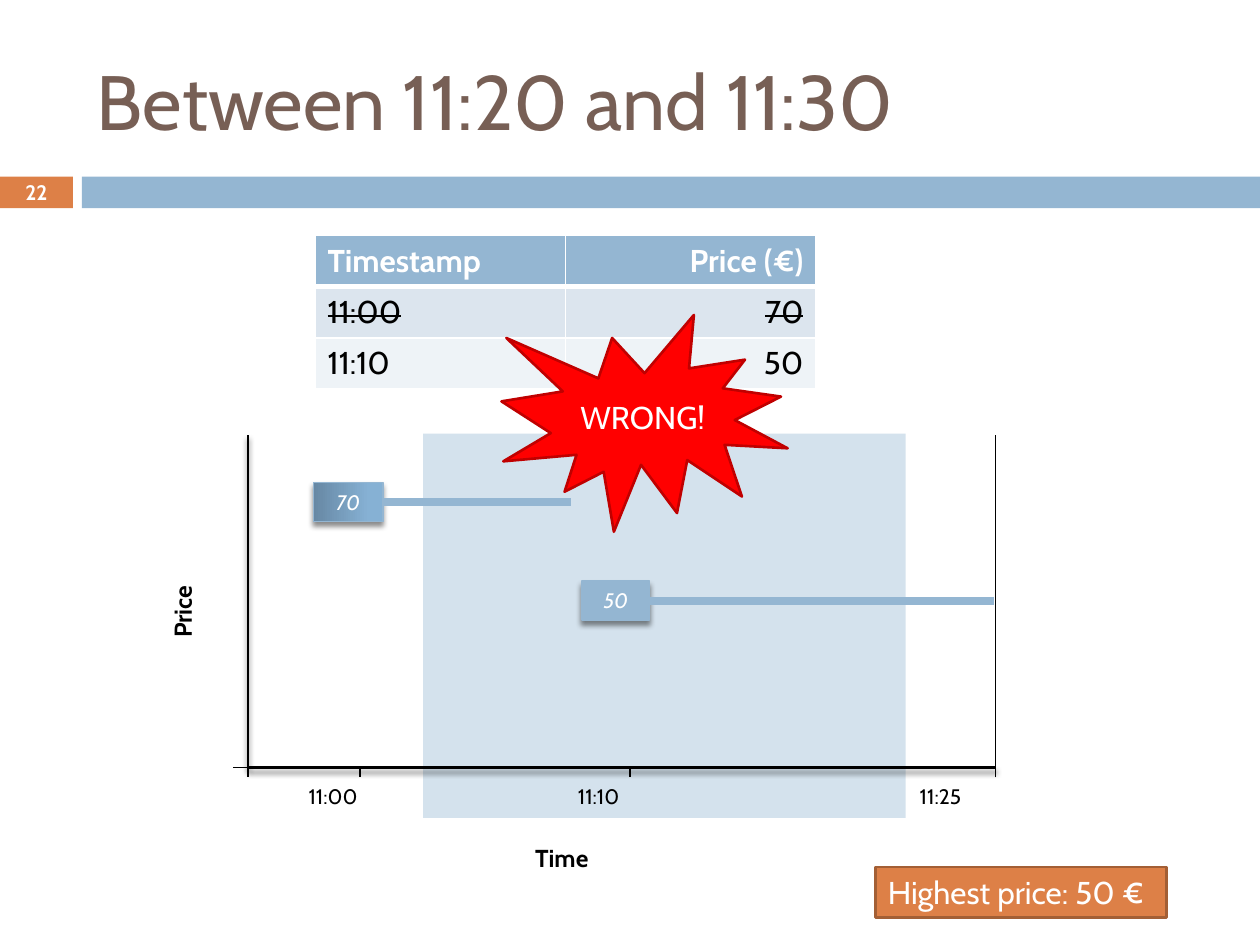
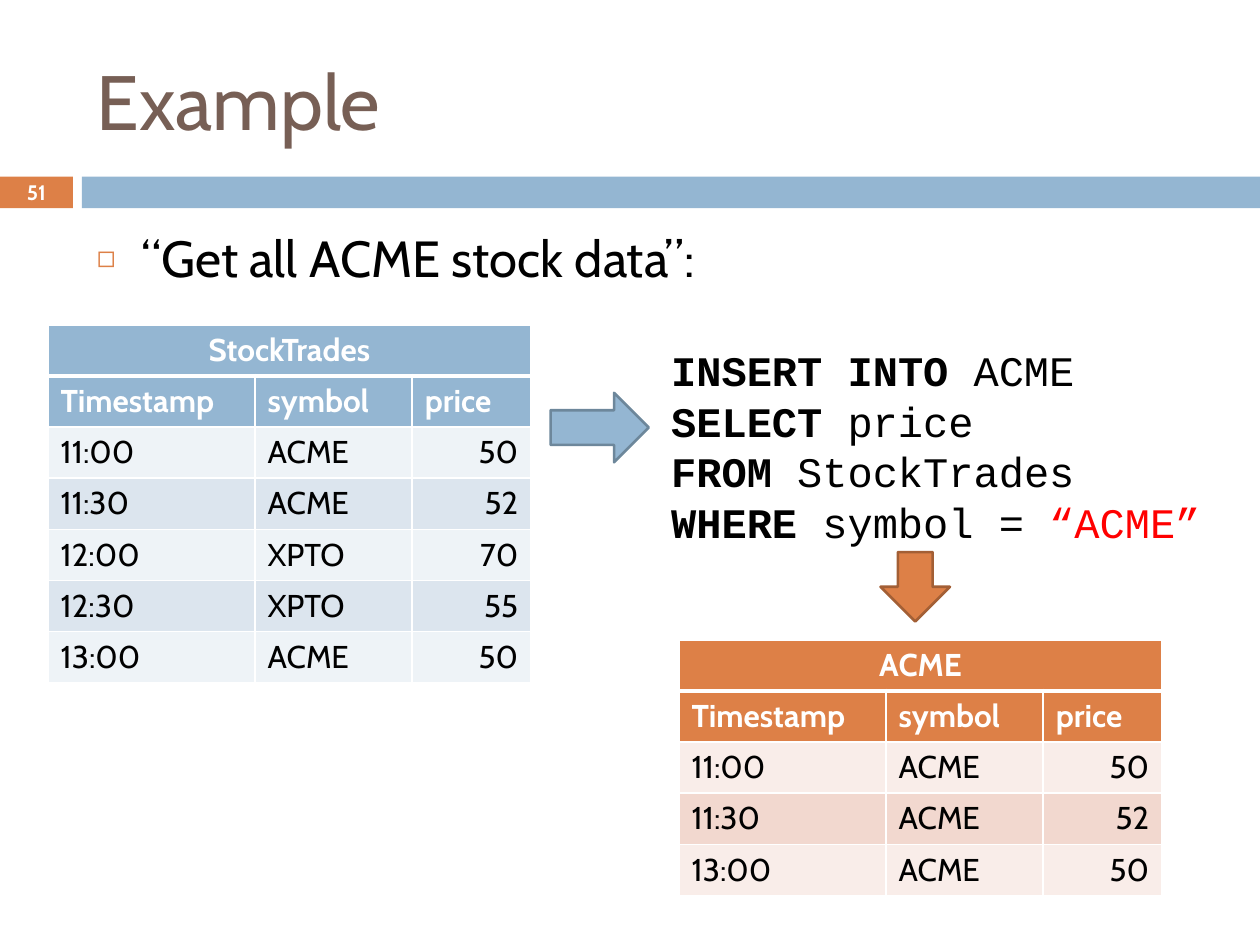
from lxml import etree
from pptx import Presentation
from pptx.dml.color import RGBColor
from pptx.enum.shapes import MSO_CONNECTOR, MSO_SHAPE as Preset
from pptx.enum.text import MSO_ANCHOR as Anchor, MSO_AUTO_SIZE as AutoSize, PP_ALIGN as Align
from pptx.oxml.ns import qn
from pptx.util import Cm, Pt

FONT = "Cabin"
CODE_FONT = "Courier New"
WHITE, BLACK, RED, DARK_RED = "FFFFFF", "000000", "FF0000", "C00000"
BROWN = "775F55"
BLUE, DARK_BLUE = "94B6D2", "6D879B"
ORANGE, DARK_ORANGE = "DD8047", "A35F35"
WINDOW_BLUE = "D4E2ED"
BLUE_BANDS = ("EEF3F7", "DCE5EE")
ORANGE_BANDS = ("F9EDE9", "F2D8CF")
ROW_HEIGHT = 1.03
TRADE_COLUMNS = (4.17, 3.17, 2.39)


def color(hex_text):
    return RGBColor.from_string(hex_text)


def add_span(para, text, size, ink=BLACK, bold=False, italic=False, font=FONT):
    span = para.add_run()
    span.text = text
    span.font.name = font
    span.font.size = Pt(size)
    span.font.bold = bold
    span.font.italic = italic
    span.font.color.rgb = color(ink)
    return span


def place(shape, left, top, width, height):
    shape.left, shape.top = Cm(left), Cm(top)
    shape.width, shape.height = Cm(width), Cm(height)


def add_sub(parent, tag, **attributes):
    child = etree.SubElement(parent, qn(tag))
    for name, value in attributes.items():
        child.set(name, str(value))
    return child


def set_effects(shape, shadow):
    """Replace the theme shadow by a soft drop shadow, or by none."""
    properties = shape.element.spPr
    for old in properties.findall(qn("a:effectLst")):
        properties.remove(old)
    effects = add_sub(properties, "a:effectLst")
    if shadow:
        outer = add_sub(effects, "a:outerShdw", blurRad=Pt(3), dist=Pt(2.4),
                        dir=90 * 60000, rotWithShape=0)
        ink = add_sub(outer, "a:srgbClr", val=BLACK)
        add_sub(ink, "a:alpha", val=45000)


def add_shape(page, preset, area, fill, outline=None, line_width=1.5):
    shape = page.shapes.add_shape(preset, *map(Cm, area))
    shape.shadow.inherit = False
    shape.fill.solid()
    shape.fill.fore_color.rgb = color(fill)
    if outline:
        shape.line.color.rgb = color(outline)
        shape.line.width = Pt(line_width)
    else:
        shape.line.fill.background()
    return shape


def label_shape(shape, text, size, **style):
    frame = shape.text_frame
    frame.word_wrap = False
    frame.vertical_anchor = Anchor.MIDDLE
    para = frame.paragraphs[0]
    para.alignment = Align.CENTER
    add_span(para, text, size, WHITE, **style)


def add_line(page, start, end, ink=BLACK, width=0.79, shadow=False):
    line = page.shapes.add_connector(MSO_CONNECTOR.STRAIGHT, *map(Cm, start + end))
    line.line.color.rgb = color(ink)
    line.line.width = Pt(width)
    set_effects(line, shadow)


def add_text(page, area, text, size, bold=False, upward=False):
    box = page.shapes.add_textbox(*map(Cm, area))
    box.text_frame.word_wrap = True
    if upward:
        box.element.txBody.bodyPr.set("vert", "vert270")
    add_span(box.text_frame.paragraphs[0], text, size, bold=bold)


def add_page(deck, layout, title, number):
    page = deck.slides.add_slide(deck.slide_layouts[layout])
    heading = page.shapes.title
    place(heading, 1.7, 0.64, 22.66, 2.74)
    frame = heading.text_frame
    frame.auto_size = AutoSize.NONE
    frame.vertical_anchor = Anchor.MIDDLE
    frame.paragraphs[0].alignment = Align.LEFT
    add_span(frame.paragraphs[0], title, 44, BROWN)

    number_band = add_shape(page, Preset.RECTANGLE, (0, 3.56, 1.47, 0.64), ORANGE)
    label_shape(number_band, str(number), 12, bold=True)
    add_shape(page, Preset.RECTANGLE, (1.65, 3.56, 23.75, 0.64), BLUE)
    return page


def add_bullet(page, text):
    body = page.placeholders[1]
    place(body, 1.7, 4.45, 22.66, 12.5)
    body.text_frame.auto_size = AutoSize.NONE
    para = body.text_frame.paragraphs[0]
    para.space_before = Pt(0)
    properties = para._p.get_or_add_pPr()
    properties.set("marL", str(Cm(0.89)))
    properties.set("indent", str(-Cm(0.89)))
    add_sub(add_sub(properties, "a:buClr"), "a:srgbClr", val=ORANGE)
    add_sub(properties, "a:buSzPct", val=60000)
    add_sub(properties, "a:buChar", char="◻")
    add_span(para, text, 29)


def set_borders(cell, top, bottom):
    properties = cell._tc.get_or_add_tcPr()
    sides = (("a:lnL", 1), ("a:lnR", 1), ("a:lnT", top), ("a:lnB", bottom))
    for position, (tag, width) in enumerate(sides):
        border = add_sub(properties, tag, w=Pt(width))
        add_sub(add_sub(border, "a:solidFill"), "a:srgbClr", val=WHITE)
        properties.insert(position, border)


def add_table(page, left, top, widths, rows, head_fill, bands,
              head_rows=1, struck_rows=(), right_heads=False):
    """Draw a banded table; a row with one entry spans all columns."""
    last = len(widths) - 1
    table = page.shapes.add_table(len(rows), len(widths), Cm(left), Cm(top),
                                  Cm(sum(widths)), Cm(ROW_HEIGHT * len(rows))).table
    for column, width in zip(table.columns, widths):
        column.width = Cm(width)
    for r, row in enumerate(rows):
        table.rows[r].height = Cm(ROW_HEIGHT)
        is_head = r < head_rows
        spans = len(row) == 1
        if spans:
            table.cell(r, 0).merge(table.cell(r, last))
        for c in range(len(widths)):
            cell = table.cell(r, c)
            cell.fill.solid()
            cell.fill.fore_color.rgb = color(head_fill if is_head else bands[r % 2])
            set_borders(cell, top=3 if r == 1 else 1, bottom=3 if r == 0 else 1)
        for c, text in enumerate(row):
            para = table.cell(r, c).text_frame.paragraphs[0]
            if spans:
                para.alignment = Align.CENTER
            elif c == last and (right_heads or not is_head):
                para.alignment = Align.RIGHT
            span = add_span(para, text, 18, WHITE if is_head else BLACK, bold=is_head)
            if r in struck_rows:
                span.font._element.set("strike", "sngStrike")


def add_price_tag(page, area, text):
    tag = add_shape(page, Preset.RECTANGLE, area, BLUE, BLUE, 0.79)
    set_effects(tag, True)
    label_shape(tag, text, 12, italic=True)
    return tag


def add_query(page, area, lines):
    """Write code lines, each a list of (text, bold, ink) pieces."""
    box = page.shapes.add_textbox(*map(Cm, area))
    frame = box.text_frame
    frame.word_wrap = True
    for index, pieces in enumerate(lines):
        para = frame.add_paragraph() if index else frame.paragraphs[0]
        para.line_spacing = Pt(29)
        for text, bold, ink in pieces:
            add_span(para, text, 24, ink, bold=bold, font=CODE_FONT)


def add_price_axes(page):
    left, right, top, base, tick_end = 5, 20.07, 8.76, 15.47, 15.67
    add_line(page, (left, base), (right, base), width=1.5, shadow=True)
    add_line(page, (left, base), (left, top), width=1.5, shadow=True)
    add_line(page, (right, tick_end), (right, top))
    add_line(page, (left, base), (4.7, base))
    for x in (left, 7.26, 12.7):
        add_line(page, (x, base), (x, tick_end))
    for x, time in ((5.97, "11:00"), (11.4, "11:10"), (18.29, "11:25")):
        add_text(page, (x, tick_end, 1.55, 0.76), time, 12)
    add_text(page, (10.54, 16.87, 2.49, 0.86), "Time", 14, bold=True)
    add_text(page, (3.25, 9.93, 1.12, 3.18), "Price", 14, bold=True, upward=True)


def build_window_page(deck):
    page = add_page(deck, 5, "Between 11:20 and 11:30", 22)
    add_shape(page, Preset.RECTANGLE, (8.53, 8.74, 9.73, 7.75), WINDOW_BLUE)
    rows = [("Timestamp", "Price (€)"), ("11:00", "70"), ("11:10", "50")]
    add_table(page, 6.35, 4.75, (5.05, 5.05), rows, BLUE, BLUE_BANDS,
              struck_rows=(1,), right_heads=True)
    add_price_axes(page)

    old_price = add_price_tag(page, (6.32, 9.73, 1.4, 0.79), "70")
    old_price.fill.gradient()
    old_price.fill.gradient_angle = 0
    stops = old_price.fill.gradient_stops
    for stop, position, ink in zip(stops, (0, 0.8), ("6788A4", "86B1D4")):
        stop.position = position
        stop.color.rgb = color(ink)
    add_price_tag(page, (11.73, 11.71, 1.37, 0.79), "50")
    add_line(page, (7.75, 10.12), (11.51, 10.12), BLUE, 4.5)
    add_line(page, (13.11, 12.12), (20.04, 12.12), BLUE, 4.5)

    result = add_shape(page, Preset.RECTANGLE, (17.65, 17.48, 5.87, 1.02),
                       ORANGE, DARK_ORANGE)
    label_shape(result, "Highest price: 50 €", 18)
    result.text_frame.paragraphs[0].alignment = Align.LEFT
    result.text_frame.word_wrap = True
    verdict = add_shape(page, Preset.EXPLOSION1, (10.11, 6.35, 5.77, 4.37), RED, DARK_RED)
    label_shape(verdict, "WRONG!", 18)


def build_example_page(deck):
    page = add_page(deck, 1, "Example", 51)
    add_bullet(page, "“Get all ACME stock data”:")
    add_query(page, (13.28, 6.81, 11.3, 5.28), [
        [("INSERT INTO ", True, BLACK), ("ACME", False, BLACK)],
        [("SELECT", True, BLACK), (" price", False, BLACK)],
        [("FROM ", True, BLACK), ("StockTrades", False, BLACK)],
        [("WHERE", True, BLACK), (" symbol = ", False, BLACK), ("“ACME”", False, RED)],
    ])
    add_shape(page, Preset.RIGHT_ARROW, (11.1, 7.92, 1.98, 1.4), BLUE, DARK_BLUE)
    down = add_shape(page, Preset.RIGHT_ARROW, (17.75, 11.13, 1.4, 1.4),
                     ORANGE, DARK_ORANGE)
    down.rotation = 90

    heads = ("Timestamp", "symbol", "price")
    trades = [("11:00", "ACME", "50"), ("11:30", "ACME", "52"), ("12:00", "XPTO", "70"),
              ("12:30", "XPTO", "55"), ("13:00", "ACME", "50")]
    selected = [trade for trade in trades if trade[1] == "ACME"]
    add_table(page, 13.69, 12.9, TRADE_COLUMNS, [("ACME",), heads] + selected,
              ORANGE, ORANGE_BANDS, head_rows=2)
    add_table(page, 0.97, 6.55, TRADE_COLUMNS, [("StockTrades",), heads] + trades,
              BLUE, BLUE_BANDS, head_rows=2)


def main():
    deck = Presentation()
    deck.slide_width, deck.slide_height = Cm(25.4), Cm(19.05)
    build_window_page(deck)
    build_example_page(deck)
    deck.save("out.pptx")


if __name__ == "__main__":
    main()
